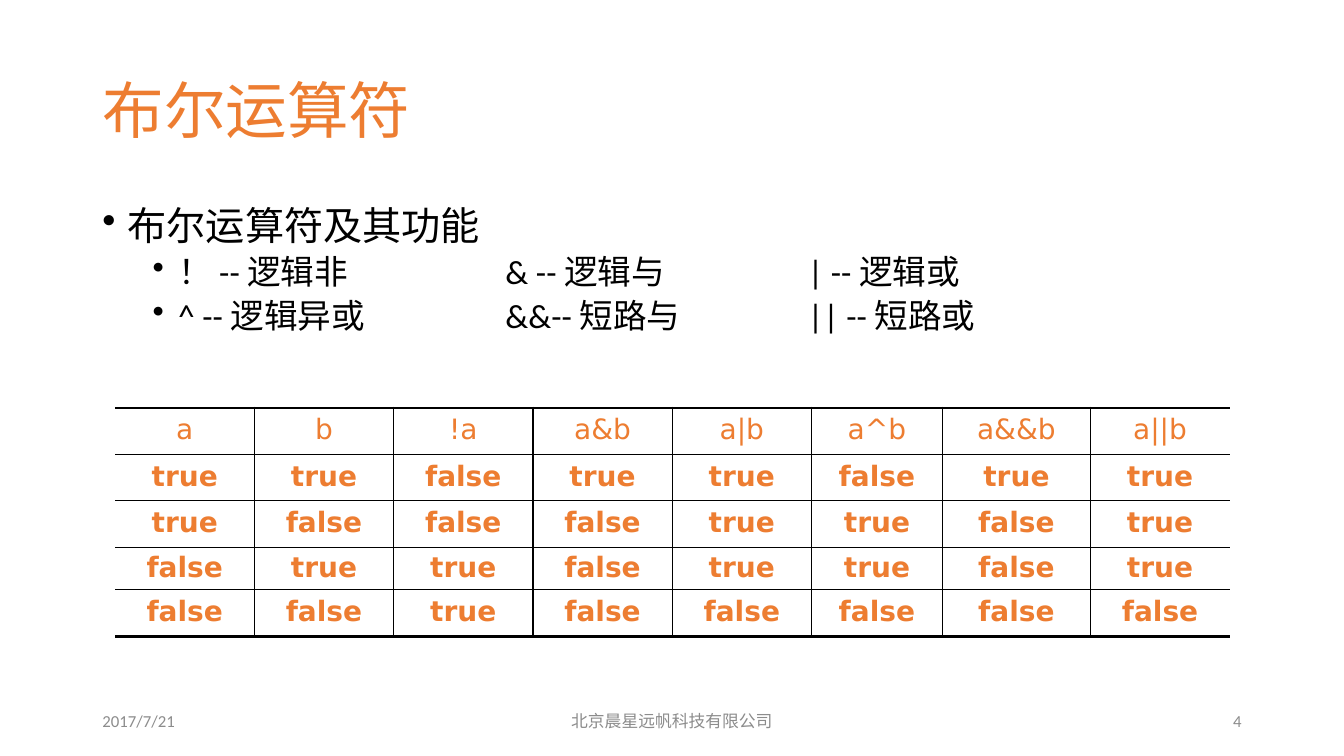
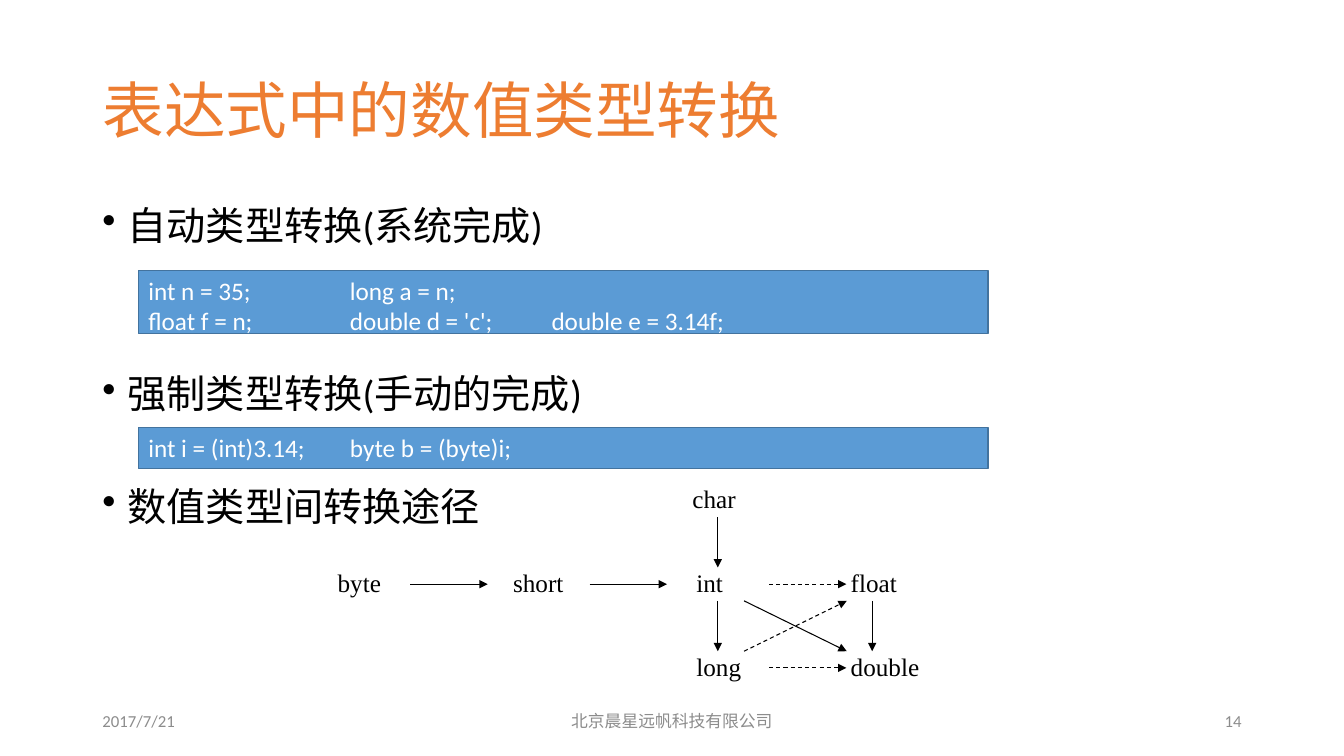
from dataclasses import dataclass
from itertools import product

from lxml.etree import SubElement
from pptx import Presentation
from pptx.dml.color import RGBColor as Rgb
from pptx.enum.dml import MSO_LINE_DASH_STYLE as Dash
from pptx.enum.shapes import MSO_CONNECTOR as Connector, MSO_SHAPE as Shape
from pptx.enum.text import MSO_ANCHOR as Anchor, MSO_AUTO_SIZE as AutoSize, PP_ALIGN as Align
from pptx.oxml import parse_xml
from pptx.oxml.ns import nsdecls, qn
from pptx.util import Cm, Pt


@dataclass(frozen=True)
class Theme:
    accent: str = "ED7D31"
    ink: str = "000000"
    muted: str = "8C8C8C"
    code_fill: str = "5B9BD5"
    code_line: str = "43739E"
    code_text: str = "FFFFFF"
    latin: str = "Calibri"
    chinese: str = "Noto Sans CJK SC"
    table_font: str = "DejaVu Sans"
    diagram_font: str = "Times New Roman"
    title_size: int = 44
    bullet_sizes: tuple = (28, 24)
    bullet_indents: tuple = (0.64, 1.91)
    bullet_gaps: tuple = (10, 5)
    table_size: int = 20
    code_size: int = 18
    footer_size: int = 12
    line_spacing: float = 0.9
    tab_width: float = 2.54


THEME = Theme()
DATE = "2017/7/21"
COMPANY = "北京晨星远帆科技有限公司"

NODE_WIDTH, NODE_HEIGHT = 2.59, 0.84
ROW_TOPS = [12.19 + 2.11 * row for row in range(3)]
NODES = {
    "byte": (8.41, ROW_TOPS[1], 0.1),
    "short": (12.93, ROW_TOPS[1], 0),
    "int": (17.45, ROW_TOPS[1], 0.1),
    "long": (17.45, ROW_TOPS[2], 0.1),
    "float": (21.34, ROW_TOPS[1], 0.1),
    "double": (21.34, ROW_TOPS[2], 0.1),
    "char": (17.45, ROW_TOPS[0], 0),
}
CONVERSIONS = [
    ("byte", "short", False),
    ("short", "int", False),
    ("int", "float", True),
    ("int", "long", False),
    ("float", "double", False),
    ("long", "double", True),
    ("int", "double", False),
    ("long", "float", True),
    ("char", "int", False),
]


def style_paragraph(para, size, color, latin=THEME.latin, align=Align.LEFT, bold=False):
    para.alignment = align
    font = para.font
    font.size, font.bold, font.name = Pt(size), bold, latin
    font.color.rgb = Rgb.from_string(color)
    props = para._p.pPr
    props.set("defTabSz", str(Cm(THEME.tab_width)))
    SubElement(props.find(qn("a:defRPr")), qn("a:ea")).set("typeface", THEME.chinese)


def add_text(slide, text, left, top, width, height, anchor=Anchor.TOP, inset=None, **style):
    box = slide.shapes.add_textbox(Cm(left), Cm(top), Cm(width), Cm(height))
    frame = box.text_frame
    frame.word_wrap = True
    frame.vertical_anchor = anchor
    if inset is not None:
        frame.margin_left = Cm(inset)
        frame.margin_top = frame.margin_right = frame.margin_bottom = 0
    para = frame.paragraphs[0]
    para.text = text
    style_paragraph(para, **style)


def add_page(deck, title, number):
    page = deck.slides.add_slide(deck.slide_layouts[5])
    heading = page.shapes.title
    heading.left, heading.top = Cm(2.33), Cm(1.01)
    heading.width, heading.height = Cm(22.08), Cm(3.68)
    frame = heading.text_frame
    frame.text = title
    frame.auto_size = AutoSize.NONE
    frame.vertical_anchor = Anchor.MIDDLE
    para = frame.paragraphs[0]
    para.line_spacing = THEME.line_spacing
    style_paragraph(para, THEME.title_size, THEME.accent)
    footers = [
        (DATE, 2.33, 7.62, Align.LEFT),
        (COMPANY, 11.22, 11.43, Align.CENTER),
        (str(number), 23.92, 7.62, Align.RIGHT),
    ]
    for text, left, width, align in footers:
        add_text(page, text, left, 17.65, width, 1.01, Anchor.MIDDLE,
                 size=THEME.footer_size, color=THEME.muted, align=align)
    return page


def add_bullets(page, items):
    box = page.shapes.add_textbox(Cm(2.33), Cm(5.08), Cm(29.21), Cm(12.09))
    frame = box.text_frame
    frame.word_wrap = True
    for index, (text, level, extra_gap) in enumerate(items):
        para = frame.paragraphs[0] if index == 0 else frame.add_paragraph()
        para.text = text
        para.level = level
        para.line_spacing = THEME.line_spacing
        para.space_before = Pt(THEME.bullet_gaps[level] + extra_gap)
        style_paragraph(para, THEME.bullet_sizes[level], THEME.ink)
        props = para._p.pPr
        props.set("marL", str(Cm(THEME.bullet_indents[level])))
        props.set("indent", str(Cm(-0.64)))
        bullet = parse_xml(f'<a:buChar {nsdecls("a")} char="•"/>')
        props.insert_element_before(bullet, "a:tabLst", "a:defRPr")


def set_borders(cell, widths):
    props = cell._tc.get_or_add_tcPr()
    for index, (side, width) in enumerate(zip("LRTB", widths)):
        fill = (f'<a:solidFill><a:srgbClr val="{THEME.ink}"/></a:solidFill>'
                if width else "<a:noFill/>")
        props.insert(index, parse_xml(
            f'<a:ln{side} {nsdecls("a")} w="{Pt(width)}">{fill}</a:ln{side}>'))


def add_truth_table(page):
    header = ["a", "b", "!a", "a&b", "a|b", "a^b", "a&&b", "a||b"]
    rows = [header]
    for a, b in product((True, False), repeat=2):
        results = (a, b, not a, a & b, a | b, a ^ b, a and b, a or b)
        rows.append([str(value).lower() for value in results])
    widths = [3.51] * 5 + [3.3, 3.73, 3.51]
    heights = [1.17, 1.17, 1.17, 1.07, 1.17]
    table = page.shapes.add_table(len(rows), len(header), Cm(2.9), Cm(10.28),
                                  Cm(sum(widths)), Cm(sum(heights))).table
    table.first_row = table.horz_banding = False
    for column, width in zip(table.columns, widths):
        column.width = Cm(width)
    last_row, last_column = len(rows) - 1, len(header) - 1
    for r, values in enumerate(rows):
        table.rows[r].height = Cm(heights[r])
        for c, value in enumerate(values):
            cell = table.cell(r, c)
            cell.text = value
            cell.fill.background()
            cell.vertical_anchor = Anchor.MIDDLE
            cell.margin_left = cell.margin_right = Cm(0.33)
            cell.margin_top = cell.margin_bottom = Cm(0.13)
            para = cell.text_frame.paragraphs[0]
            para.line_spacing = THEME.line_spacing
            style_paragraph(para, THEME.table_size, THEME.accent, THEME.table_font,
                            Align.CENTER, bold=r > 0)
            set_borders(cell, (
                1 if c else 0,
                1 if c < last_column else 0,
                1 if r else 2.25,
                1 if r < last_row else 2.25,
            ))


def add_code(page, lines, top, height):
    box = page.shapes.add_shape(Shape.RECTANGLE, Cm(3.49), Cm(top), Cm(21.41), Cm(height))
    box.shadow.inherit = False
    box.fill.solid()
    box.fill.fore_color.rgb = Rgb.from_string(THEME.code_fill)
    box.line.color.rgb = Rgb.from_string(THEME.code_line)
    box.line.width = Pt(1)
    frame = box.text_frame
    frame.word_wrap = True
    frame.vertical_anchor = Anchor.TOP
    frame.text = "\n".join(lines)
    for para in frame.paragraphs:
        style_paragraph(para, THEME.code_size, THEME.code_text, align=Align.JUSTIFY)


def arrow_ends(source, target):
    x1, y1, _ = NODES[source]
    x2, y2, _ = NODES[target]
    if y1 == y2:
        middle = y1 + NODE_HEIGHT / 2
        return x1 + 1.93, middle, x1 + 3.88, middle
    start, end = (y1 + NODE_HEIGHT, y2) if y2 > y1 else (y1, y2 + NODE_HEIGHT)
    if x1 == x2:
        return x1 + 0.64, start, x1 + 0.64, end
    return x1 + 1.3, start, x2, end


def add_arrow(page, source, target, dashed):
    ends = [Cm(value) for value in arrow_ends(source, target)]
    arrow = page.shapes.add_connector(Connector.STRAIGHT, *ends)
    arrow.line.color.rgb = Rgb.from_string(THEME.ink)
    arrow.line.width = Pt(0.75)
    if dashed:
        arrow.line.dash_style = Dash.DASH
    props = arrow._element.spPr
    SubElement(props.find(qn("a:ln")), qn("a:tailEnd")).set("type", "triangle")
    SubElement(props, qn("a:effectLst"))


def add_conversion_diagram(page):
    for name, (left, top, inset) in NODES.items():
        add_text(page, name, left, top, NODE_WIDTH, NODE_HEIGHT, inset=inset,
                 size=THEME.code_size, color=THEME.ink, latin=THEME.diagram_font,
                 align=Align.JUSTIFY)
    for conversion in CONVERSIONS:
        add_arrow(page, *conversion)


def build_boolean_page(deck):
    page = add_page(deck, "布尔运算符", 4)
    add_bullets(page, [
        ("布尔运算符及其功能", 0, 0),
        ("！ -- 逻辑非\t\t& -- 逻辑与\t\t| -- 逻辑或", 1, 0),
        ("^ -- 逻辑异或\t\t&&-- 短路与\t\t|| -- 短路或", 1, 0),
    ])
    add_truth_table(page)


def build_conversion_page(deck):
    page = add_page(deck, "表达式中的数值类型转换", 14)
    add_bullets(page, [
        ("自动类型转换(系统完成)", 0, 0),
        ("强制类型转换(手动的完成)", 0, 80),
        ("数值类型间转换途径", 0, 40),
    ])
    add_conversion_diagram(page)
    add_code(page, ["int n = 35;\tlong a = n;",
                    "float f = n;\tdouble d = 'c';\tdouble e = 3.14f;"], 6.81, 1.6)
    add_code(page, ["int i = (int)3.14;\tbyte b = (byte)i;"], 10.77, 1.04)


def main():
    deck = Presentation()
    deck.slide_width, deck.slide_height = Cm(33.87), Cm(19.05)
    build_boolean_page(deck)
    build_conversion_page(deck)
    deck.save("out.pptx")


if __name__ == "__main__":
    main()
